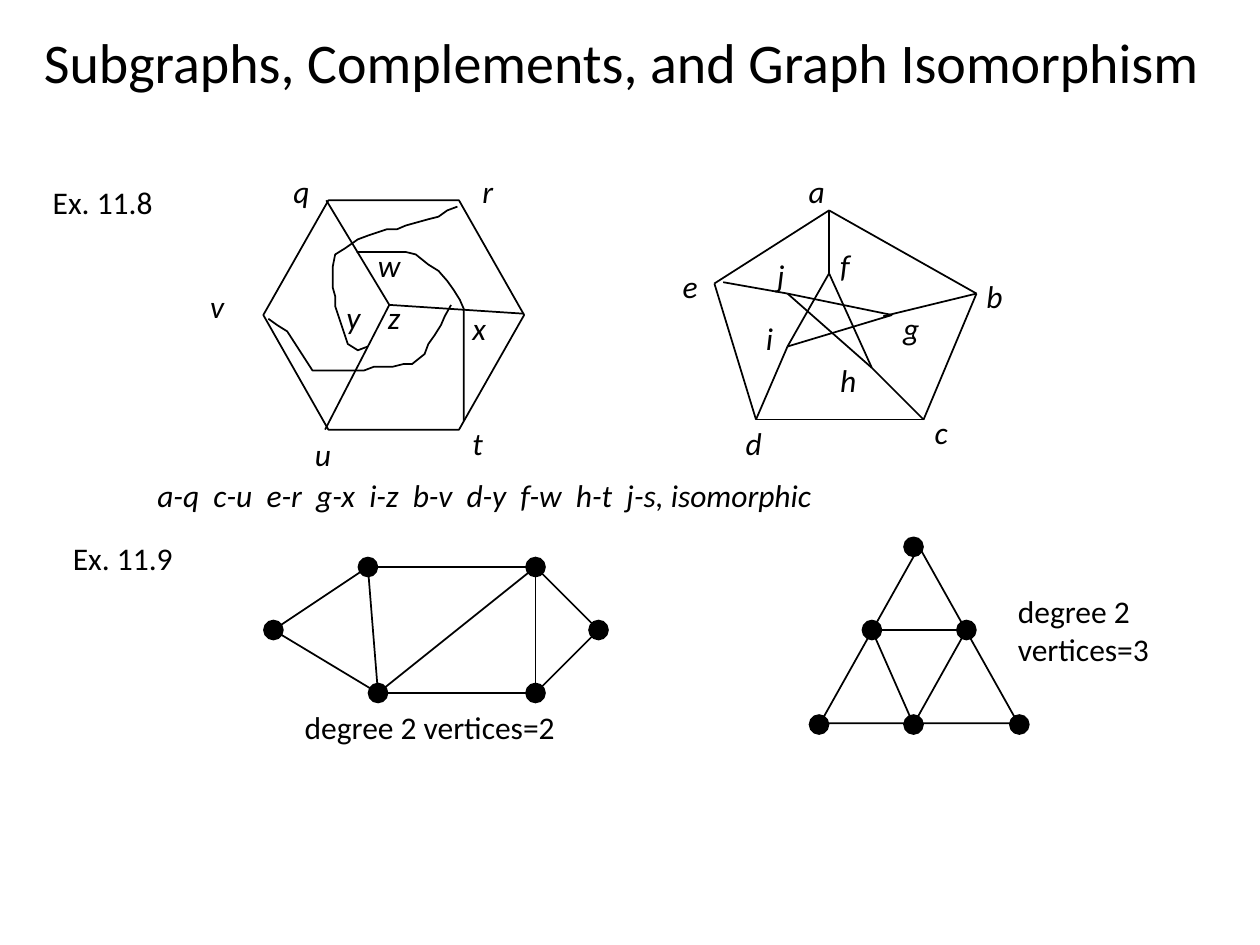
import pptx
import pptx.dml.color
import pptx.enum.shapes
import pptx.enum.text
import pptx.util
from pptx.util import Inches

BLACK = "000000"
SHAPES = pptx.enum.shapes.MSO_SHAPE

presentation = pptx.Presentation()
presentation.slide_width = Inches(10)
presentation.slide_height = Inches(7.5)
slide = presentation.slides.add_slide(presentation.slide_layouts[6])


def color(hex_string):
    return pptx.dml.color.RGBColor.from_string(hex_string)


def add_text(text, left, top, width, height=0.5, size=18, italic=False):
    """Add a text box; each line of the text becomes a paragraph."""
    box = slide.shapes.add_textbox(Inches(left), Inches(top), Inches(width), Inches(height))
    frame = box.text_frame
    frame.word_wrap = False
    frame.auto_size = pptx.enum.text.MSO_AUTO_SIZE.SHAPE_TO_FIT_TEXT
    frame.text = text
    for paragraph in frame.paragraphs:
        paragraph.font.name = "Calibri"
        paragraph.font.size = pptx.util.Pt(size)
        paragraph.font.italic = italic
        paragraph.font.color.rgb = color(BLACK)


# Outlines and curves
hexagon = slide.shapes.add_shape(
    SHAPES.HEXAGON, Inches(2.09), Inches(1.59), Inches(2.07), Inches(1.82))
hexagon.adjustments[0] = 0.284
triangle = slide.shapes.add_shape(
    SHAPES.ISOSCELES_TRIANGLE, Inches(6.51), Inches(4.34), Inches(1.57), Inches(1.4))
outlines = [hexagon, triangle]

curves = [
    # w to t
    [(2.83, 2), (3.22, 2), (3.3, 2.02), (3.4, 2.1), (3.48, 2.15), (3.55, 2.23),
     (3.6, 2.3), (3.65, 2.38), (3.68, 2.45), (3.68, 3.34)],
    # x to v
    [(3.58, 2.42), (3.53, 2.51), (3.5, 2.58), (3.45, 2.66), (3.4, 2.73), (3.37, 2.81),
     (3.27, 2.89), (3.2, 2.89), (3.12, 2.91), (2.97, 2.91), (2.89, 2.94), (2.48, 2.94),
     (2.28, 2.63), (2.2, 2.58), (2.13, 2.53)],
    # y to r
    [(2.92, 2.75), (2.84, 2.78), (2.76, 2.73), (2.66, 2.43), (2.66, 2.35), (2.64, 2.28),
     (2.64, 2.12), (2.66, 2.02), (2.74, 1.97), (2.84, 1.9), (2.92, 1.87), (3.07, 1.82),
     (3.15, 1.82), (3.22, 1.79), (3.4, 1.74), (3.48, 1.72), (3.55, 1.67), (3.63, 1.64)],
]
for curve in curves:
    points = [(Inches(x), Inches(y)) for x, y in curve]
    builder = slide.shapes.build_freeform(*points[0])
    builder.add_line_segments(points[1:], close=False)
    outlines.append(builder.convert_to_shape())

for shape in outlines:
    shape.shadow.inherit = False
    shape.fill.background()
    shape.line.color.rgb = color(BLACK)
    shape.line.width = pptx.util.Pt(1)

# Straight edges: the points of each graph and the pairs they join
hexagon_points = {"q": (2.59, 1.59), "s": (4.16, 2.49), "u": (2.58, 3.41), "z": (3.09, 2.42)}
pentagon_points = {
    "a": (6.58, 1.67), "b": (7.75, 2.33), "c": (7.33, 3.33), "d": (6, 3.33),
    "e": (5.67, 2.25), "f": (6.58, 2.17), "g": (7.08, 2.5), "h": (6.92, 2.92),
    "i": (6.25, 2.75), "j": (6.25, 2.33),
    "beside e": (5.74, 2.24), "beside g": (7.01, 2.51),
}
left_dots = {
    "left": (2.17, 5), "top left": (2.92, 4.5), "top right": (4.25, 4.5),
    "right": (4.75, 5), "bottom right": (4.25, 5.5), "bottom left": (3, 5.5),
}
right_dots = {
    "top": (7.25, 4.34), "middle left": (6.92, 5), "middle right": (7.67, 5),
    "bottom left": (6.5, 5.75), "bottom middle": (7.25, 5.75), "bottom right": (8.09, 5.75),
}
graphs = [
    (hexagon_points, ["zu", "zs", "qz"]),
    (pentagon_points, ["ae", "ed", "dc", "cb", "ba", "af", "fi", "ig", "gj", "jh", "hf",
                       "hc", "id", ("beside g", "b"), ("j", "beside e")]),
    (left_dots, [
        ("left", "top left"), ("top left", "top right"), ("top right", "right"),
        ("right", "bottom right"), ("bottom right", "bottom left"), ("bottom left", "left"),
        ("bottom left", "top right"), ("top right", "bottom right"),
        ("top left", "bottom left")]),
    (right_dots, [
        ("middle left", "middle right"), ("middle right", "bottom middle"),
        ("bottom middle", "middle left")]),
]
for points, edges in graphs:
    for start, end in edges:
        line = slide.shapes.add_connector(
            pptx.enum.shapes.MSO_CONNECTOR.STRAIGHT,
            *[Inches(value) for value in points[start] + points[end]])
        line.line.color.rgb = color(BLACK)
        line.line.width = pptx.util.Pt(1)
        line._element.spPr.append(pptx.oxml.parse_xml(
            '<a:effectLst xmlns:a="http://schemas.openxmlformats.org/drawingml/2006/main"/>'))

DOT_SIZE = 0.15
for x, y in [*left_dots.values(), *right_dots.values()]:
    dot = slide.shapes.add_shape(
        SHAPES.OVAL, Inches(x - DOT_SIZE / 2), Inches(y - DOT_SIZE / 2),
        Inches(DOT_SIZE), Inches(DOT_SIZE))
    dot.shadow.inherit = False
    dot.fill.solid()
    dot.fill.fore_color.rgb = color(BLACK)
    dot.line.color.rgb = color(BLACK)
    dot.line.width = pptx.util.Pt(1)

# Title, captions and vertex labels
add_text("Subgraphs, Complements, and Graph Isomorphism", 0.25, 0.17, 9.47, 0.64, size=32)
add_text("Ex. 11.8", 0.32, 1.4, 1.32)
add_text("a-q  c-u  e-r  g-x  i-z  b-v  d-y  f-w  h-t  j-s, isomorphic",
         1.15, 3.73, 7.36, italic=True)
add_text("Ex. 11.9", 0.48, 4.23, 1.32)
add_text("degree 2 vertices=2", 2.32, 5.57, 2.81)
add_text("degree 2\nvertices=3", 7.98, 4.65, 1.59, 0.9)

vertex_labels = [
    ("q", 2.23, 1.32, 0.36), ("r", 3.73, 1.32, 0.33), ("w", 2.9, 1.9, 0.42),
    ("z", 2.98, 2.32, 0.33), ("x", 3.65, 2.4, 0.35), ("y", 2.65, 2.32, 0.35),
    ("u", 2.4, 3.4, 0.36), ("t", 3.65, 3.32, 0.29), ("v", 1.57, 2.23, 0.35),
    ("a", 6.32, 1.32, 0.36), ("b", 7.73, 2.15, 0.36), ("c", 7.32, 3.23, 0.35),
    ("d", 5.82, 3.32, 0.36), ("e", 5.32, 2.07, 0.35), ("f", 6.57, 1.9, 0.29),
    ("g", 7.07, 2.4, 0.36), ("h", 6.57, 2.82, 0.36), ("i", 5.98, 2.48, 0.29),
    ("j", 6.07, 1.98, 0.29),
]
for letter, left, top, width in vertex_labels:
    add_text(letter, left, top, width, italic=True)

presentation.save("out.pptx")
